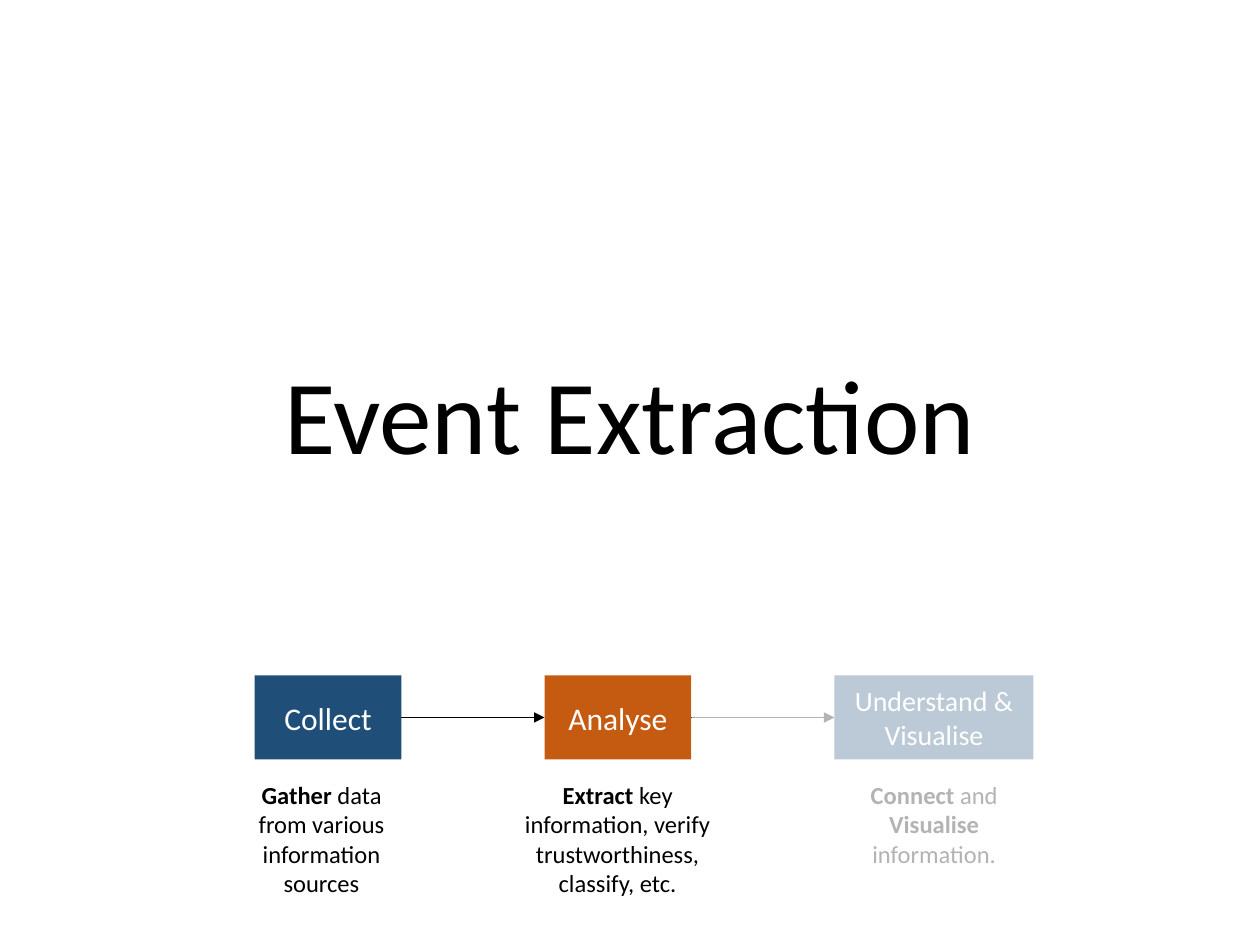
"""Build the event extraction title slide with its three-step process."""
from lxml import etree
from pptx import Presentation
from pptx import util as u
from pptx.dml import color
from pptx.enum import shapes, text
from pptx.oxml import ns

BLACK = color.RGBColor(0x00, 0x00, 0x00)
WHITE = color.RGBColor(0xFF, 0xFF, 0xFF)
BLUE = color.RGBColor(0x1F, 0x4E, 0x79)
ORANGE = color.RGBColor(0xC5, 0x5A, 0x11)

STEP_LEFT, STEP_PITCH, STEP_TOP, STEP_HEIGHT = 145.6, 165.6, 386, 48
CAPTION_TOP, CAPTION_HEIGHT = 442.1, 87
VEIL_WIDTH, VEIL_HEIGHT = 230.4, 71.3

STEPS = [
    ("Collect", 83.8, 18, BLUE, 138.4, 90.7,
     [("Gather", True), (" data from various information sources", False)]),
    ("Analyse", 83.8, 18, ORANGE, 290.3, 125.3,
     [("Extract", True),
      (" key information, verify trustworthiness, classify, etc.", False)]),
    ("Understand & Visualise", 113.8, 16, BLUE, 480.5, 106.6,
     [("Connect ", True), ("and", False), (" Visualise", True),
      (" information.", False)]),
]
VEILS = [(438.5, 442.1), (395.3, 367.2)]


def points(*lengths):
    """Convert numbers to lengths in points."""
    return [u.Pt(length) for length in lengths]


class ProcessSlide:
    """Hold the style and current slide, and draw each kind of element."""

    font_name = "Calibri"

    def __init__(self, presentation):
        """Add a title slide without its subtitle."""
        self.slide = presentation.slides.add_slide(presentation.slide_layouts[0])
        subtitle = self.slide.placeholders[1].element
        subtitle.getparent().remove(subtitle)

    def set_text(self, shape, runs, size, font_color, anchor, spacing=1.0):
        """Fill a shape with one centred paragraph of runs."""
        frame = shape.text_frame
        frame.word_wrap = True
        frame.auto_size = text.MSO_AUTO_SIZE.NONE
        frame.vertical_anchor = anchor
        paragraph = frame.paragraphs[0]
        paragraph.alignment = text.PP_ALIGN.CENTER
        paragraph.line_spacing = spacing
        for words, bold in runs:
            run = paragraph.add_run()
            run.text = words
            formats = {"name": self.font_name, "size": u.Pt(size), "bold": bold}
            for attribute, value in formats.items():
                setattr(run.font, attribute, value)
            run.font.color.rgb = font_color

    def title(self, words, left, top, width, height):
        """Place and fill the title placeholder."""
        shape = self.slide.shapes.title
        places = zip(("left", "top", "width", "height"),
                     points(left, top, width, height))
        for attribute, value in places:
            setattr(shape, attribute, value)
        self.set_text(shape, [(words, False)], 60, BLACK,
                      text.MSO_ANCHOR.BOTTOM, 0.9)

    def box(self, left, top, width, height, fill_color):
        """Draw a plain filled rectangle."""
        shape = self.slide.shapes.add_shape(
            shapes.MSO_SHAPE.RECTANGLE, *points(left, top, width, height))
        shape.shadow.inherit = False
        shape.fill.solid()
        shape.fill.fore_color.rgb = fill_color
        shape.line.fill.background()
        return shape

    def step(self, words, left, width, size, fill_color):
        """Draw a labelled process step."""
        shape = self.box(left, STEP_TOP, width, STEP_HEIGHT, fill_color)
        self.set_text(shape, [(words, False)], size, WHITE,
                      text.MSO_ANCHOR.MIDDLE)

    def caption(self, runs, left, width):
        """Add the explanation below a step."""
        shape = self.slide.shapes.add_textbox(
            *points(left, CAPTION_TOP, width, CAPTION_HEIGHT))
        self.set_text(shape, runs, 14, BLACK, text.MSO_ANCHOR.TOP)

    def arrow(self, start, end):
        """Draw a horizontal arrow between two steps."""
        middle = STEP_TOP + STEP_HEIGHT / 2
        connector = self.slide.shapes.add_connector(
            shapes.MSO_CONNECTOR.STRAIGHT, *points(start, middle, end, middle))
        connector.line.width = u.Pt(1)
        connector.line.color.rgb = BLACK
        properties = connector.element.spPr
        line = properties.find(ns.qn("a:ln"))
        etree.SubElement(line, ns.qn("a:tailEnd"), type="triangle")
        etree.SubElement(properties, ns.qn("a:effectLst"))

    def veil(self, left, top):
        """Fade the elements below with translucent white."""
        shape = self.box(left, top, VEIL_WIDTH, VEIL_HEIGHT, WHITE)
        white = shape.element.spPr.find(
            f"{ns.qn('a:solidFill')}/{ns.qn('a:srgbClr')}")
        etree.SubElement(white, ns.qn("a:alpha"), val="70000")


def main():
    """Assemble and save the presentation."""
    presentation = Presentation()
    presentation.slide_width, presentation.slide_height = points(720, 540)
    process = ProcessSlide(presentation)
    process.title("Event Extraction", 54, 88.4, 612, 188)
    for index, step in enumerate(STEPS):
        words, width, size, fill_color, caption_left, caption_width, runs = step
        left = STEP_LEFT + index * STEP_PITCH
        process.step(words, left, width, size, fill_color)
        process.caption(runs, caption_left, caption_width)
        if index < len(STEPS) - 1:
            process.arrow(left + width, left + STEP_PITCH)
    for left, top in VEILS:
        process.veil(left, top)
    presentation.save("out.pptx")


if __name__ == "__main__":
    main()
